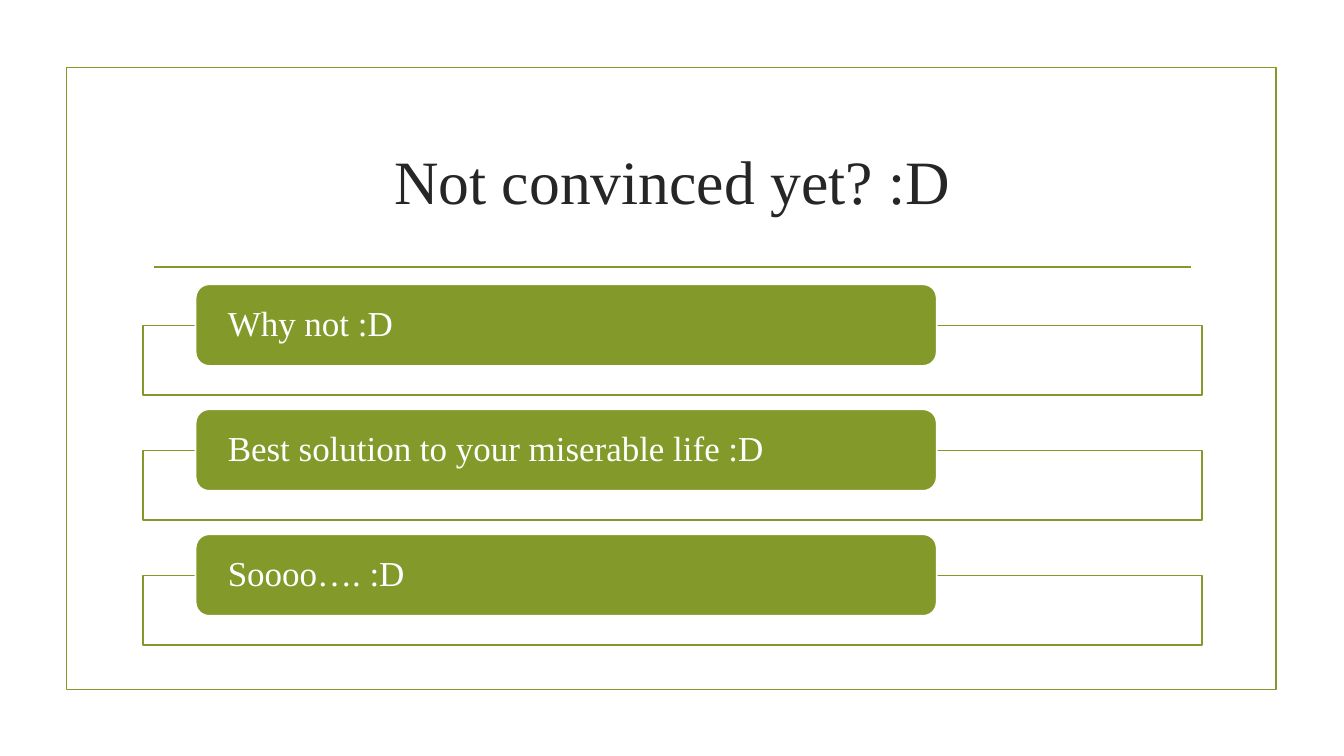
from dataclasses import dataclass

from lxml import etree
from pptx import Presentation
from pptx.dml.color import RGBColor
from pptx.enum import shapes, text
from pptx.oxml import ns
from pptx.util import Inches, Pt


@dataclass(frozen=True)
class Theme:
    font: str = "Times New Roman"
    olive: RGBColor = RGBColor(0x83, 0x99, 0x2A)
    white: RGBColor = RGBColor(0xFF, 0xFF, 0xFF)
    ink: RGBColor = RGBColor(0x26, 0x26, 0x26)
    title_size: int = 44
    reason_size: int = 25
    line_width: float = 1.25


class SlideBuilder:
    def __init__(self, slide, theme):
        self.slide = slide
        self.theme = theme

    def box(self, preset, left, top, width, height, fill, line):
        box = self.slide.shapes.add_shape(
            preset, Inches(left), Inches(top), Inches(width), Inches(height))
        box.shadow.inherit = False
        if fill is None:
            box.fill.background()
        else:
            box.fill.solid()
            box.fill.fore_color.rgb = fill
        box.line.color.rgb = line
        box.line.width = Pt(self.theme.line_width)
        return box

    def rule(self, left, right, y):
        rule = self.slide.shapes.add_connector(
            shapes.MSO_CONNECTOR.STRAIGHT,
            Inches(left), Inches(y), Inches(right), Inches(y))
        rule.line.color.rgb = self.theme.olive
        rule.line.width = Pt(self.theme.line_width)
        etree.SubElement(rule._element.spPr, ns.qn("a:effectLst"))

    def set_words(self, frame, words, size, color, align):
        frame.text = words
        frame.word_wrap = True
        frame.vertical_anchor = text.MSO_ANCHOR.MIDDLE
        line = frame.paragraphs[0]
        line.alignment = align
        font = line.runs[0].font
        font.name = self.theme.font
        font.size = Pt(size)
        font.color.rgb = color
        return line

    def title(self, words, left, top, width, height):
        title = self.slide.shapes.add_textbox(
            Inches(left), Inches(top), Inches(width), Inches(height))
        self.set_words(title.text_frame, words, self.theme.title_size,
                       self.theme.ink, text.PP_ALIGN.CENTER)

    def reason(self, words, top):
        theme = self.theme
        self.box(shapes.MSO_SHAPE.RECTANGLE, 1.42, top + 0.41, 10.5, 0.69,
                 theme.white, theme.olive)
        label = self.box(shapes.MSO_SHAPE.ROUNDED_RECTANGLE, 1.94, top,
                         7.35, 0.81, theme.olive, theme.white)
        frame = label.text_frame
        frame.margin_left = frame.margin_right = Inches(0.28)
        frame.margin_top = frame.margin_bottom = 0
        line = self.set_words(frame, words, theme.reason_size, theme.white,
                              text.PP_ALIGN.LEFT)
        line.line_spacing = 0.9


def main():
    deck = Presentation()
    deck.slide_width = Inches(13.33)
    deck.slide_height = Inches(7.5)
    theme = Theme()
    builder = SlideBuilder(deck.slides.add_slide(deck.slide_layouts[6]), theme)

    builder.box(shapes.MSO_SHAPE.RECTANGLE, 0.66, 0.67, 12, 6.17,
                None, theme.olive)
    builder.rule(1.53, 11.81, 2.65)
    builder.title("Not convinced yet? :D", 1.42, 1.07, 10.5, 1.43)

    reasons = ["Why not :D", "Best solution to your miserable life :D", "Soooo…. :D"]
    for index, reason in enumerate(reasons):
        builder.reason(reason, 2.82 + index * 1.24)

    deck.save("out.pptx")


if __name__ == "__main__":
    main()
